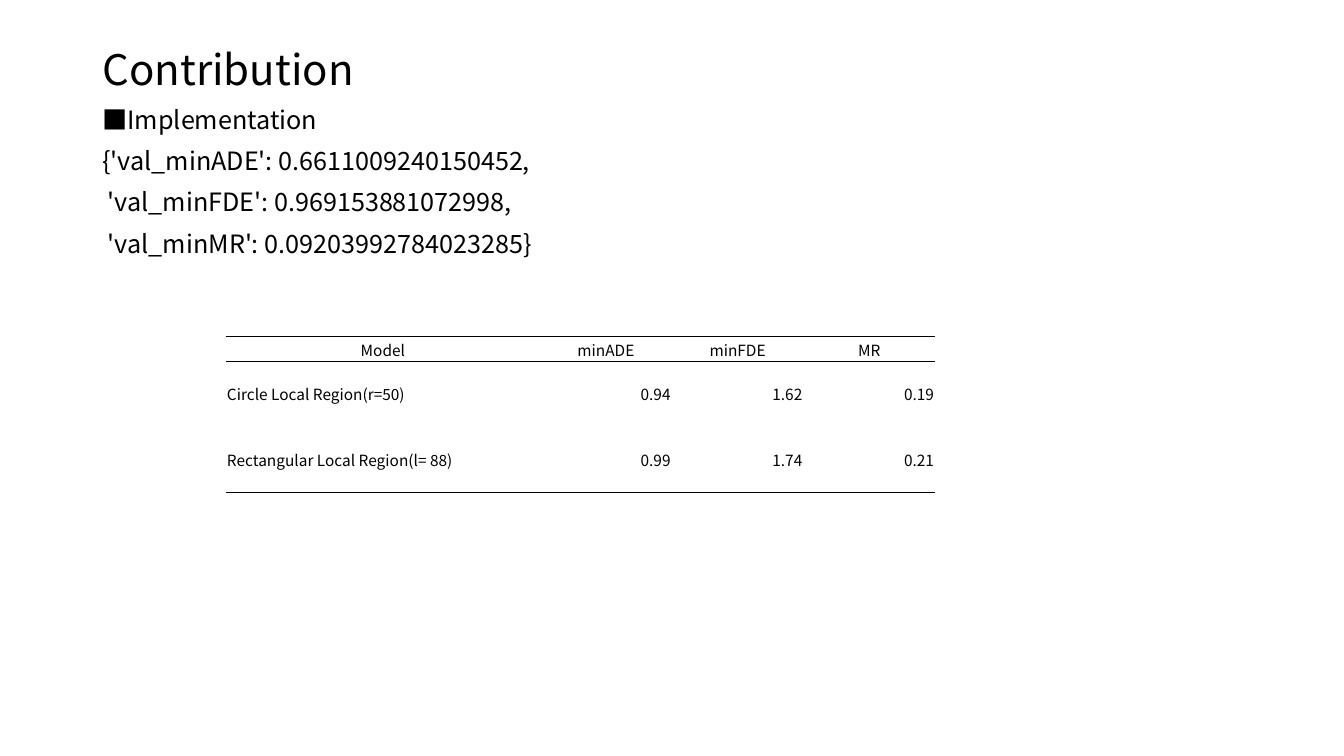
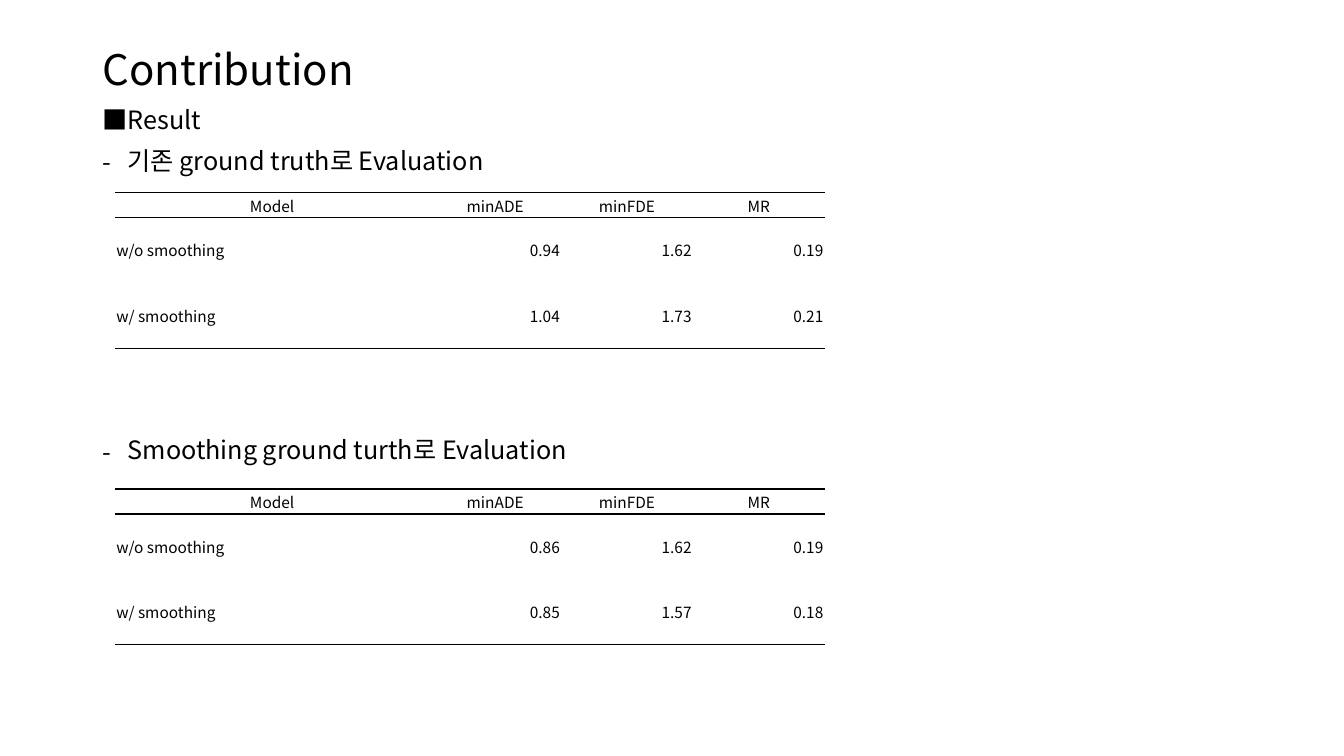
import dataclasses

import lxml.etree
import pptx
import pptx.dml.color
import pptx.enum.text
import pptx.oxml.ns
import pptx.util

Cm = pptx.util.Cm
Pt = pptx.util.Pt
qn = pptx.oxml.ns.qn
ALIGN = pptx.enum.text.PP_ALIGN
ANCHOR = pptx.enum.text.MSO_ANCHOR


@dataclasses.dataclass(frozen=True)
class Theme:
    font: str = "Noto Sans CJK KR"
    ink: str = "000000"
    title_size: int = 30
    body_size: int = 18
    table_size: int = 11
    rule_width: int = 1
    line_spacing: float = 0.9
    line_gap: int = 10


theme = Theme()
LEFT, WIDTH = Cm(2.33), Cm(29.21)
COLUMN_WIDTHS = (7.92, 3.32, 3.32, 3.32)
ROW_HEIGHTS = (0.63, 1.6, 1.7)
HEADER = ("Model", "minADE", "minFDE", "MR")
RULED_EDGES = (0, 1, len(ROW_HEIGHTS))
SECTION_GAP = 187


def style_runs(para, size):
    for span in para.runs:
        span.font.size = Pt(size)
        span.font.name = theme.font
        span.font.color.rgb = pptx.dml.color.RGBColor.from_string(theme.ink)
        east_asian = lxml.etree.SubElement(span.font._element, qn("a:ea"))
        east_asian.set("typeface", theme.font)


def add_border(properties, side, visible):
    border = lxml.etree.SubElement(properties, qn("a:ln" + side))
    if visible:
        border.set("w", str(Pt(theme.rule_width)))
        fill = lxml.etree.SubElement(border, qn("a:solidFill"))
        lxml.etree.SubElement(fill, qn("a:srgbClr")).set("val", theme.ink)
    else:
        lxml.etree.SubElement(border, qn("a:noFill"))


pages = [
    {
        "lines": [
            ("■Implementation", False, theme.line_gap),
            ("{'val_minADE': 0.6611009240150452,", False, theme.line_gap),
            (" 'val_minFDE': 0.969153881072998,", False, theme.line_gap),
            (" 'val_minMR': 0.09203992784023285}", False, theme.line_gap),
        ],
        "tables": [
            (5.69, 8.48, [
                ("Circle Local Region(r=50)", "0.94", "1.62", "0.19"),
                ("Rectangular Local Region(l= 88)", "0.99", "1.74", "0.21"),
            ]),
        ],
    },
    {
        "lines": [
            ("■Result", False, theme.line_gap),
            ("기존 ground truth로 Evaluation", True, theme.line_gap),
            ("Smoothing ground turth로 Evaluation", True, SECTION_GAP),
        ],
        "tables": [
            (2.9, 4.85, [
                ("w/o smoothing", "0.94", "1.62", "0.19"),
                ("w/ smoothing", "1.04", "1.73", "0.21"),
            ]),
            (2.9, 12.32, [
                ("w/o smoothing", "0.86", "1.62", "0.19"),
                ("w/ smoothing", "0.85", "1.57", "0.18"),
            ]),
        ],
    },
]

deck = pptx.Presentation()
deck.slide_width = Cm(33.87)
deck.slide_height = Cm(19.05)

for content in pages:
    page = deck.slides.add_slide(deck.slide_layouts[5])

    title = page.shapes.title
    title.left, title.top, title.width, title.height = LEFT, Cm(1.02), WIDTH, Cm(1.57)
    title.text_frame.text = "Contribution"
    title.text_frame.auto_size = pptx.enum.text.MSO_AUTO_SIZE.NONE
    title.text_frame.vertical_anchor = ANCHOR.MIDDLE
    heading = title.text_frame.paragraphs[0]
    heading.alignment = ALIGN.LEFT
    heading.line_spacing = theme.line_spacing
    style_runs(heading, theme.title_size)

    box = page.shapes.add_textbox(LEFT, Cm(2.59), WIDTH, Cm(14.58))
    box.text_frame.word_wrap = True
    box.text_frame.text = "\n".join(text for text, bulleted, gap in content["lines"])
    for para, (text, bulleted, gap) in zip(box.text_frame.paragraphs, content["lines"]):
        para.line_spacing = theme.line_spacing
        para.space_before = Pt(gap)
        style_runs(para, theme.body_size)
        if bulleted:
            properties = para._p.get_or_add_pPr()
            properties.set("marL", str(Cm(0.64)))
            properties.set("indent", str(-Cm(0.64)))
            lxml.etree.SubElement(properties, qn("a:buFont")).set("typeface", theme.font)
            lxml.etree.SubElement(properties, qn("a:buChar")).set("char", "-")

    for left, top, results in content["tables"]:
        table = page.shapes.add_table(
            len(ROW_HEIGHTS), len(COLUMN_WIDTHS), Cm(left), Cm(top),
            Cm(sum(COLUMN_WIDTHS)), Cm(sum(ROW_HEIGHTS)),
        ).table
        table.first_row = False
        table.horz_banding = False
        for column, width in zip(table.columns, COLUMN_WIDTHS):
            column.width = Cm(width)
        for row_index, values in enumerate([HEADER, *results]):
            table.rows[row_index].height = Cm(ROW_HEIGHTS[row_index])
            for column_index, value in enumerate(values):
                cell = table.cell(row_index, column_index)
                cell.text_frame.text = value
                cell.vertical_anchor = ANCHOR.MIDDLE
                cell.margin_left = cell.margin_right = cell.margin_top = Cm(0.03)
                cell.margin_bottom = 0
                para = cell.text_frame.paragraphs[0]
                if row_index == 0:
                    para.alignment = ALIGN.CENTER
                else:
                    para.alignment = ALIGN.RIGHT if column_index else ALIGN.LEFT
                style_runs(para, theme.table_size)
                properties = cell._tc.get_or_add_tcPr()
                add_border(properties, "L", False)
                add_border(properties, "R", False)
                add_border(properties, "T", row_index in RULED_EDGES)
                add_border(properties, "B", row_index + 1 in RULED_EDGES)
                cell.fill.background()

deck.save("out.pptx")
